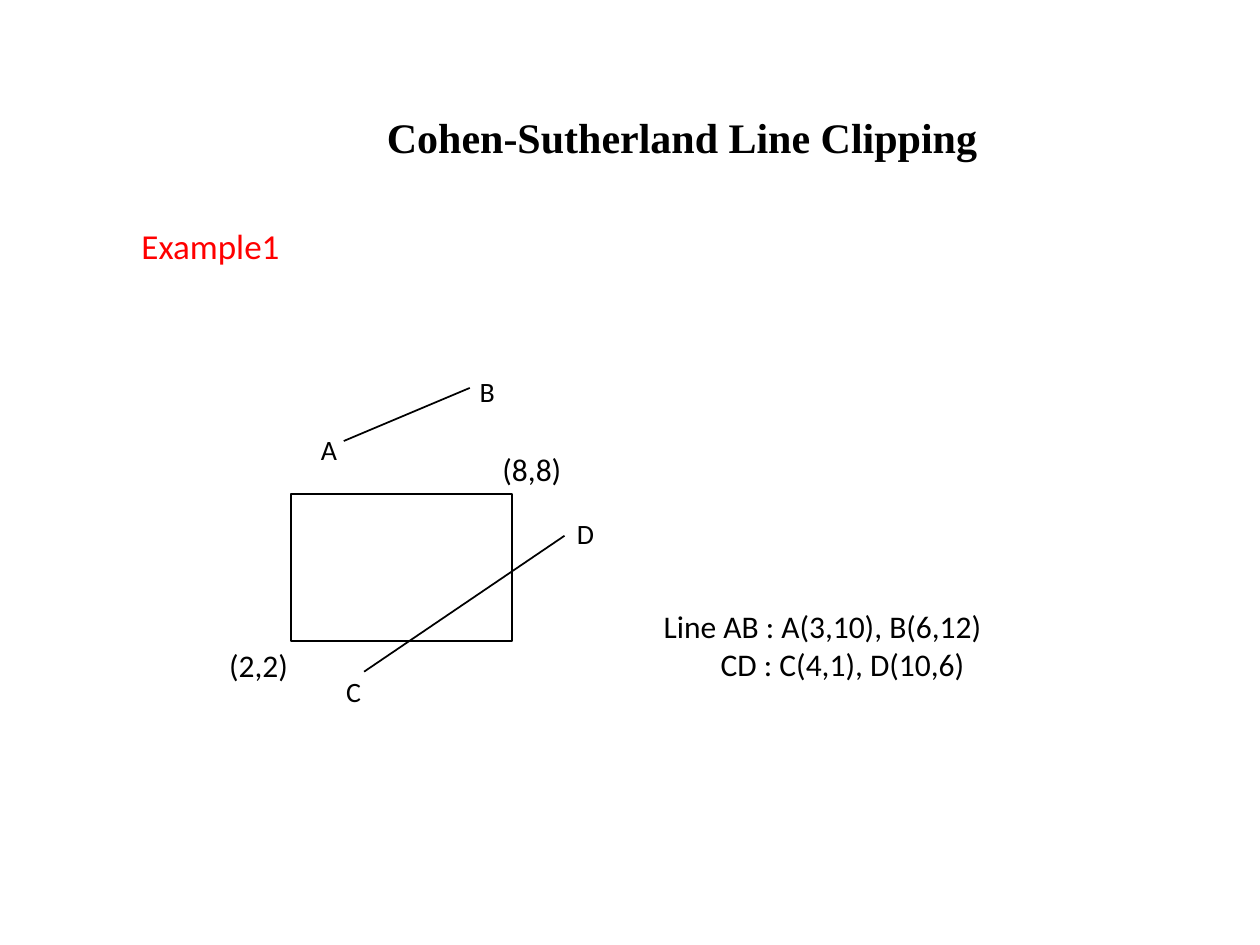
from lxml import etree
from pptx import Presentation
from pptx.dml.color import RGBColor
from pptx.enum.shapes import MSO_CONNECTOR, MSO_SHAPE
from pptx.enum.text import MSO_ANCHOR, PP_ALIGN
from pptx.oxml.ns import qn
from pptx.util import Cm, Pt

BLACK = RGBColor(0, 0, 0)
RED = RGBColor(255, 0, 0)
STRAIGHT = MSO_CONNECTOR.STRAIGHT
RECTANGLE = MSO_SHAPE.RECTANGLE
MIDDLE = MSO_ANCHOR.MIDDLE
LEFT, CENTER = PP_ALIGN.LEFT, PP_ALIGN.CENTER


def set_font(paragraph, size, color=BLACK, name="Calibri", bold=False):
    font = paragraph.font
    font.name = name
    font.size = Pt(size)
    font.bold = bold
    font.color.rgb = color


def add_label(text, left, top, width, height, size, color=BLACK, align=LEFT, wrap=True):
    label = slide.shapes.add_textbox(Cm(left), Cm(top), Cm(width), Cm(height))
    frame = label.text_frame
    frame.word_wrap = wrap
    frame.vertical_anchor = MIDDLE
    frame.text = text
    for paragraph in frame.paragraphs:
        paragraph.alignment = align
        set_font(paragraph, size, color)
    return frame


prs = Presentation()
prs.slide_width, prs.slide_height = Cm(25.4), Cm(19.05)
slide = prs.slides.add_slide(prs.slide_layouts[5])

title = slide.shapes.title
title.left, title.top, title.width, title.height = Cm(2.74), Cm(1.91), Cm(22.02), Cm(1.7)
title.text_frame.text = "Cohen-Sutherland Line Clipping"
title.text_frame.vertical_anchor = MIDDLE
heading = title.text_frame.paragraphs[0]
heading.alignment = CENTER
set_font(heading, 24, name="Times New Roman", bold=True)

add_label("Example1", 2.34, 4.39, 3.81, 1.12, 20, RED, CENTER)

clip_window = slide.shapes.add_shape(RECTANGLE, Cm(5.87), Cm(9.96), Cm(4.45), Cm(2.97))
clip_window.shadow.inherit = False
clip_window.fill.background()
clip_window.line.color.rgb = BLACK
clip_window.line.width = Pt(1)

add_label("(2,2)", 4.37, 12.9, 1.73, 1.02, 18, wrap=False)
add_label("(8,8)", 9.88, 8.94, 2.11, 1.02, 18)

for x1, y1, x2, y2 in [(6.93, 8.89, 9.47, 7.82), (7.34, 13.54, 11.38, 10.8)]:
    segment = slide.shapes.add_connector(STRAIGHT, Cm(x1), Cm(y1), Cm(x2), Cm(y2))
    segment.line.color.rgb = BLACK
    segment.line.width = Pt(1)
    etree.SubElement(segment._element.spPr, qn("a:effectLst"))

for endpoint, left, top in [("A", 6.22, 8.59), ("B", 9.42, 7.42), ("C", 6.73, 13.46), ("D", 11.38, 10.29)]:
    add_label(endpoint, left, top, 0.9, 0.94, 16, wrap=False)

coordinates = add_label("Line AB : A(3,10), B(6,12)\nCD : C(4,1), D(10,6)", 13.13, 11.86, 9.78, 2.29, 18)
coordinates.paragraphs[1]._p.get_or_add_pPr().set("marL", str(Cm(1.15)))

prs.save("out.pptx")
